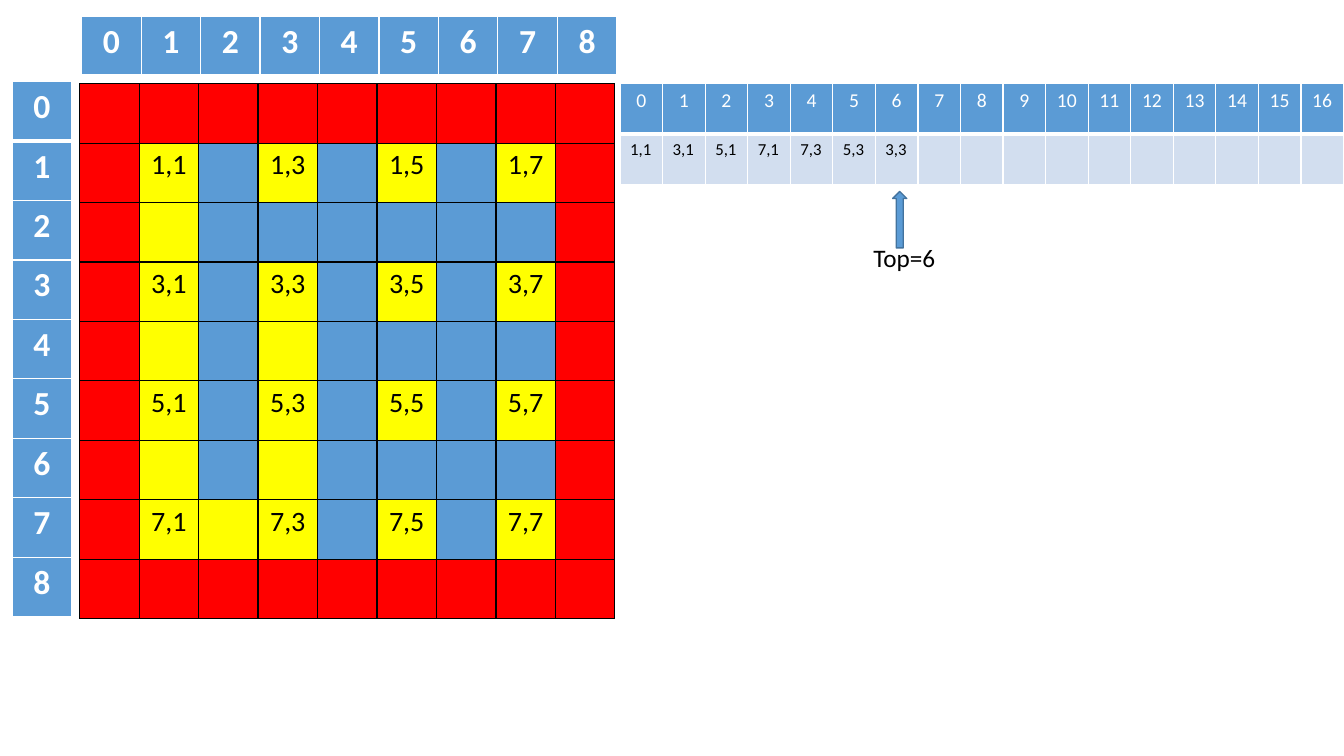
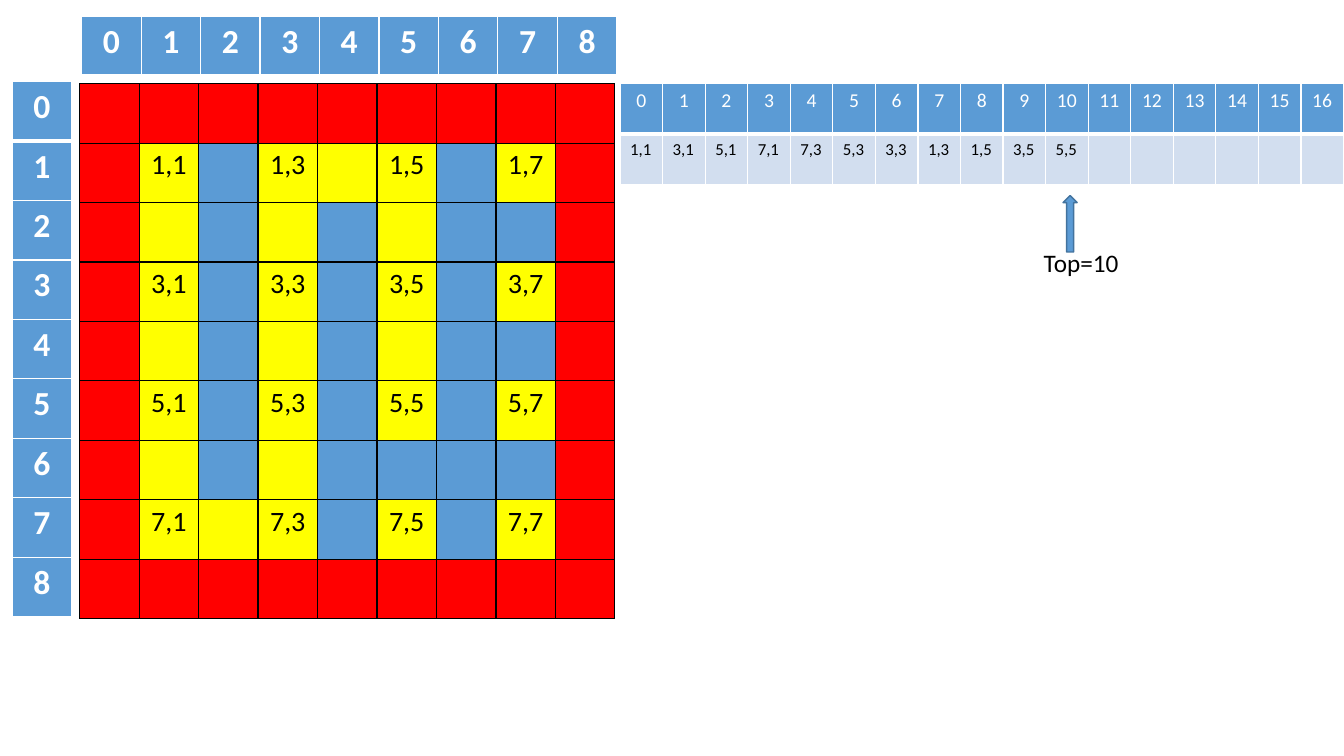
from lxml.etree import SubElement
from pptx import Presentation
from pptx.dml.color import RGBColor
from pptx.enum.shapes import MSO_SHAPE
from pptx.enum.text import MSO_AUTO_SIZE, PP_ALIGN
from pptx.oxml.ns import qn
from pptx.util import Inches, Pt

BLUE = RGBColor(0x5B, 0x9B, 0xD5)
DARK_BLUE = RGBColor(0x43, 0x73, 0x9E)
PALE_BLUE = RGBColor(0xD2, 0xDE, 0xEF)
RED = RGBColor(0xFF, 0x00, 0x00)
YELLOW = RGBColor(0xFF, 0xFF, 0x00)
BLACK = RGBColor(0x00, 0x00, 0x00)
WHITE = RGBColor(0xFF, 0xFF, 0xFF)
FONT = "Calibri"

SIZE = 9
CELL = 0.59
GRID = 5.31
SLOTS = 17
STACK_BOX = (6.15, 0.83, 7.18, 1)

FIRST_STEPS = [(1, 1), (3, 1), (5, 1), (7, 1), (7, 3), (5, 3), (3, 3)]
LATER_STEPS = [(1, 3), (1, 5), (3, 5), (5, 5)]


def add_run(p, text, size, color, bold=False):
    r = p.add_run()
    r.text = text
    r.font.name = FONT
    r.font.size = Pt(size)
    r.font.bold = bold
    r.font.color.rgb = color


def add_grid(s, box, rows, cols):
    left, top, width, height = box
    table = s.shapes.add_table(rows, cols, Inches(left), Inches(top),
                               Inches(width), Inches(height)).table
    table.first_row = table.horz_banding = False
    for column in table.columns:
        column.width = Inches(width / cols)
    for row in table.rows:
        row.height = Inches(height / rows)
    return table


def style_cell(cell, fill, border, top=1, bottom=1):
    tc_pr = cell._tc.get_or_add_tcPr()
    for side, width in (("L", 1), ("R", 1), ("T", top), ("B", bottom)):
        ln = SubElement(tc_pr, qn(f"a:ln{side}"), w=str(Pt(width)))
        solid = SubElement(ln, qn("a:solidFill"))
        SubElement(solid, qn("a:srgbClr"), val=str(border))
    cell.fill.solid()
    cell.fill.fore_color.rgb = fill


def write_cell(cell, text, size, color, bold=False, align=PP_ALIGN.CENTER):
    p = cell.text_frame.paragraphs[0]
    p.alignment = align
    add_run(p, text, size, color, bold)


def position(row, col):
    return f"{row},{col}"


def add_maze(s, box, steps):
    passages = {((r1 + r2) // 2, (c1 + c2) // 2)
                for (r1, c1), (r2, c2) in zip(steps, steps[1:])}
    table = add_grid(s, box, SIZE, SIZE)
    for row in range(SIZE):
        for col in range(SIZE):
            cell = table.cell(row, col)
            room = row % 2 == 1 and col % 2 == 1
            if row in (0, SIZE - 1) or col in (0, SIZE - 1):
                fill = RED
            elif room or (row, col) in passages:
                fill = YELLOW
            else:
                fill = BLUE
            style_cell(cell, fill, BLACK)
            if room:
                write_cell(cell, position(row, col), 20, BLACK)


def add_index(s, box, rows, cols):
    table = add_grid(s, box, rows, cols)
    for i, cell in enumerate(table.iter_cells()):
        style_cell(cell, BLUE, WHITE, top=3 if i == 1 and rows > 1 else 1,
                   bottom=3 if i == 0 or rows == 1 else 1)
        write_cell(cell, str(i), 24, WHITE, bold=True)


def add_stack(s, box, steps):
    table = add_grid(s, box, 2, SLOTS)
    for i in range(SLOTS):
        head, slot = table.cell(0, i), table.cell(1, i)
        style_cell(head, BLUE, WHITE, bottom=3)
        write_cell(head, str(i), 14, WHITE)
        style_cell(slot, PALE_BLUE, WHITE, top=3)
        if i < len(steps):
            write_cell(slot, position(*steps[i]), 12, BLACK, align=PP_ALIGN.LEFT)


def add_pointer(s, left, top, label):
    group = s.shapes.add_group_shape()
    arrow = group.shapes.add_shape(MSO_SHAPE.UP_ARROW, Inches(left + 0.29),
                                   Inches(top), Inches(0.14), Inches(0.56))
    arrow.shadow.inherit = False
    arrow.fill.solid()
    arrow.fill.fore_color.rgb = BLUE
    arrow.line.color.rgb = DARK_BLUE
    arrow.line.width = Pt(1)
    width = 0.17 + 0.13 * len(label)
    tf = group.shapes.add_textbox(Inches(left), Inches(top + 0.46),
                                  Inches(width), Inches(0.4)).text_frame
    tf.word_wrap = False
    tf.auto_size = MSO_AUTO_SIZE.SHAPE_TO_FIT_TEXT
    add_run(tf.paragraphs[0], label, 18, BLACK)


def add_maze_slide(prs, steps, pointer_top):
    s = prs.slides.add_slide(prs.slide_layouts[6])
    add_maze(s, (0.79, 0.83, GRID, GRID), steps)
    add_index(s, (0.81, 0.16, GRID, CELL), 1, SIZE)
    add_index(s, (0.12, 0.81, CELL, GRID), SIZE, 1)
    add_stack(s, STACK_BOX, steps)
    top = len(steps) - 1
    left, _, width, _ = STACK_BOX
    add_pointer(s, left + top * width / SLOTS - 0.12, pointer_top, f"Top={top}")


def main():
    prs = Presentation()
    prs.slide_width = Inches(13.33)
    prs.slide_height = Inches(7.5)
    add_maze_slide(prs, FIRST_STEPS, 1.9)
    add_maze_slide(prs, FIRST_STEPS + LATER_STEPS, 1.94)
    prs.save("out.pptx")


if __name__ == "__main__":
    main()
